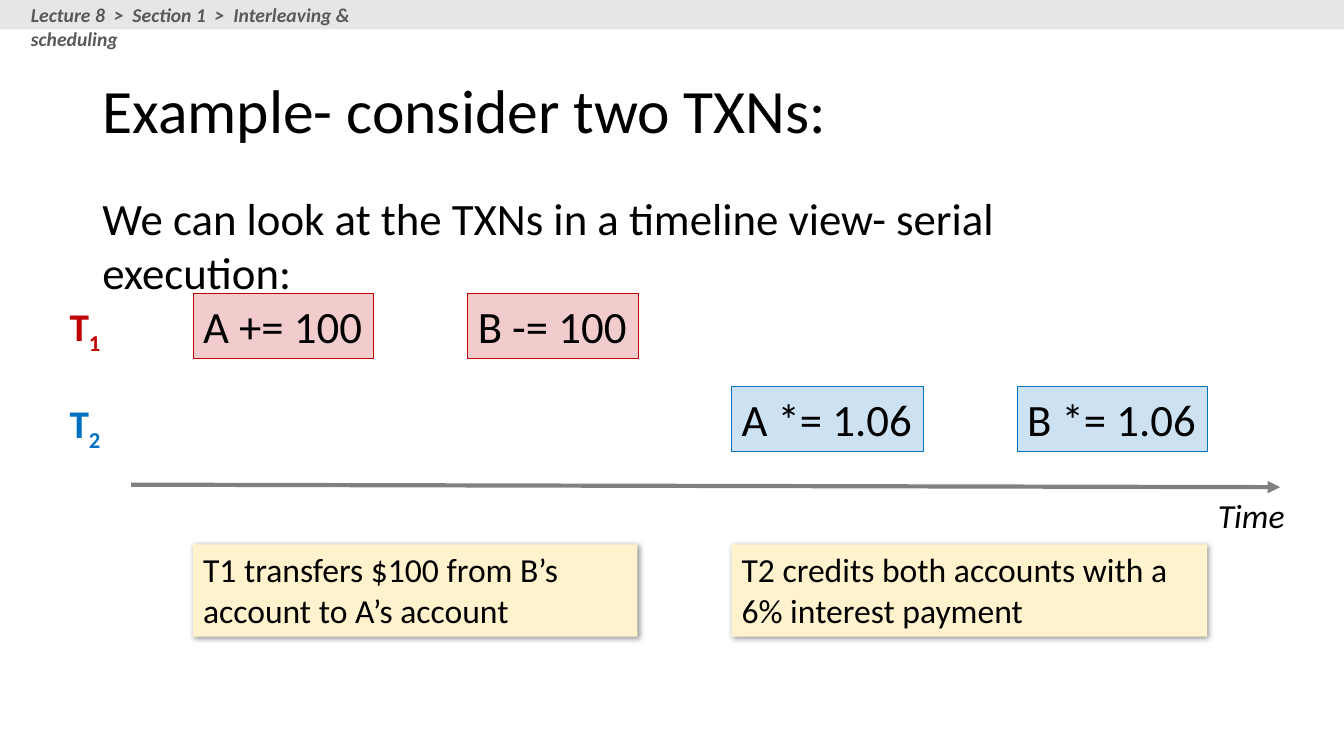
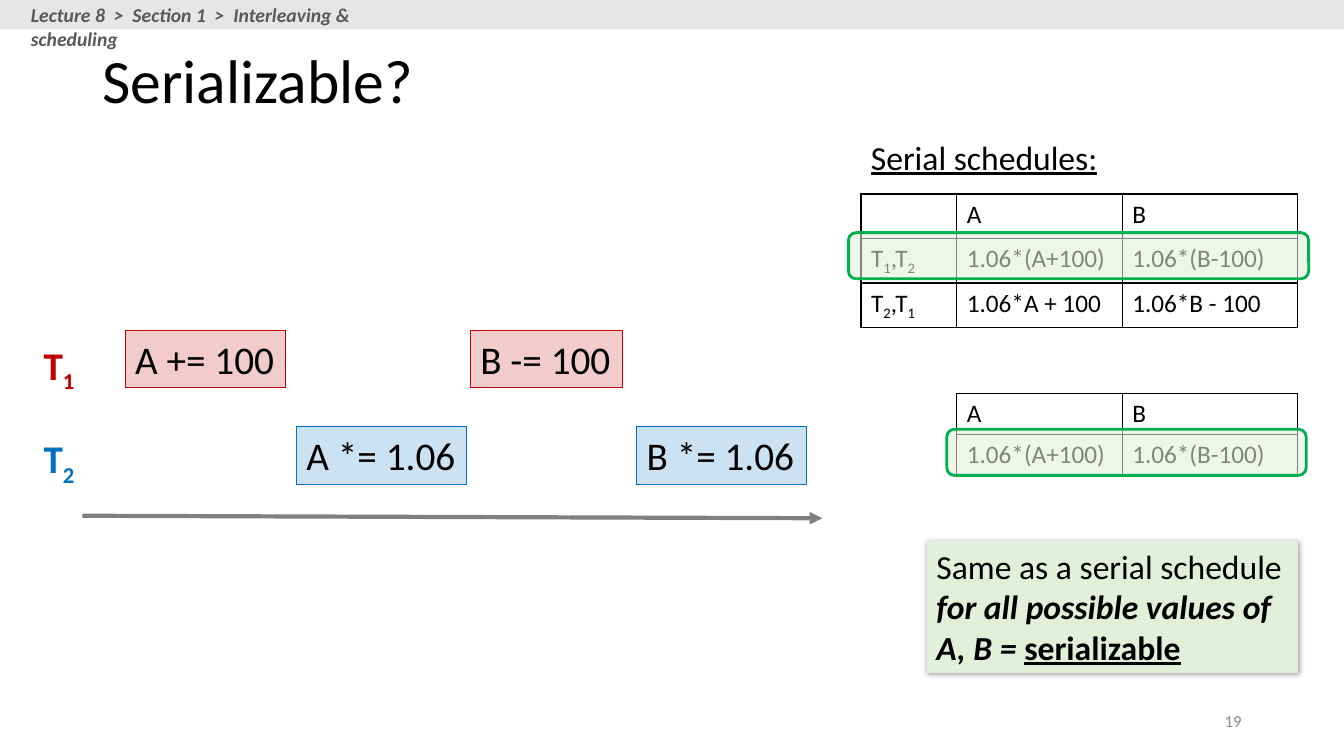
from lxml.etree import SubElement
from pptx import Presentation
from pptx.dml.color import RGBColor
from pptx.enum.shapes import MSO_CONNECTOR as Connector, MSO_SHAPE as Preset
from pptx.enum.text import MSO_ANCHOR as Anchor, PP_ALIGN as Align
from pptx.oxml.ns import qn
from pptx.util import Inches, Pt

COLUMNS, ROWS = 80, 45
WIDTH, HEIGHT = Inches(13.33), Inches(7.5)
BLACK, GREY, BAND, CRUMB = "000000", "808080", "E7E6E6", "595959"
NUMBER, RED, BLUE = "8C8C8C", "C00000", "0070C0"
SAND, MINT, GREEN = "FFF2CC", "E2F0D9", "00B050"
CHIP_WIDTHS = {"A += 100": 9.55, "B -= 100": 8.95, "A *= 1.06": 10.2, "B *= 1.06": 10.15}


def rgb(code):
    return RGBColor.from_string(code)


class Deck:
    font = "Calibri"

    def __init__(self):
        self.file = Presentation()
        self.file.slide_width, self.file.slide_height = WIDTH, HEIGHT

    def x(self, columns):
        return round(WIDTH * columns / COLUMNS)

    def y(self, rows):
        return round(HEIGHT * rows / ROWS)

    def frame(self, left, top, width, height):
        return self.x(left), self.y(top), self.x(width), self.y(height)

    def page(self, title, title_top):
        self.slide = self.file.slides.add_slide(self.file.slide_layouts[6])
        heading = self.text((5.5, title_top, 69, 8.7), title, size=44, anchor=Anchor.MIDDLE)
        heading.paragraphs[0].line_spacing = 0.9
        self.box((0, 0, COLUMNS, 1.75), BAND)
        self.text((1.25, -0.1, 25.1, 2.05), "Lecture 8  >  Section 1  >  Interleaving & scheduling",
                  size=14, color=CRUMB, bold=True, italic=True)

    def add_run(self, paragraph, text, size, color, lowered=False, **styles):
        run = paragraph.add_run()
        run.text = text
        for name, value in {"name": self.font, "size": Pt(size), **styles}.items():
            setattr(run.font, name, value)
        run.font.color.rgb = rgb(color)
        if lowered:
            run._r.get_or_add_rPr().set("baseline", "-25000")

    def fill_text(self, frame, content, size, color=BLACK, align=Align.LEFT, **styles):
        paragraph = frame.paragraphs[0]
        paragraph.alignment = align
        runs = [(content, {})] if isinstance(content, str) else content
        for text, extra in runs:
            head, *tails = text.split("_")
            look = {"size": size, "color": color, **styles, **extra}
            if head:
                self.add_run(paragraph, head, **look)
            for tail in tails:
                self.add_run(paragraph, tail[0], lowered=True, **look)
                if tail[1:]:
                    self.add_run(paragraph, tail[1:], **look)

    def text(self, place, content, size, wrap=True, anchor=Anchor.TOP, **styles):
        frame = self.slide.shapes.add_textbox(*self.frame(*place)).text_frame
        frame.word_wrap, frame.vertical_anchor = wrap, anchor
        self.fill_text(frame, content, size, **styles)
        return frame

    def box(self, place, fill, opacity=100, line=None, weight=0.75, preset=Preset.RECTANGLE):
        shape = self.slide.shapes.add_shape(preset, *self.frame(*place))
        shape.shadow.inherit = False
        shape.fill.solid()
        shape.fill.fore_color.rgb = rgb(fill)
        if opacity < 100:
            tint = shape._element.spPr.find(qn("a:solidFill")).find(qn("a:srgbClr"))
            SubElement(tint, qn("a:alpha"), val=str(opacity * 1000))
        if line:
            shape.line.color.rgb = rgb(line)
            shape.line.width = Pt(weight)
        else:
            shape.line.fill.background()
        shape.text_frame.vertical_anchor = Anchor.TOP
        return shape

    def chip(self, left, top, operation, size, color):
        scale = size / 32
        place = (left, top, CHIP_WIDTHS[operation] * scale + 1.2, 3.25 * scale + 0.6)
        frame = self.box(place, color, 20, color).text_frame
        frame.word_wrap = False
        self.fill_text(frame, operation, size)

    def callout(self, place, content, fill):
        note = self.box(place, fill)
        effects = note._element.spPr.find(qn("a:effectLst"))
        shadow = SubElement(effects, qn("a:outerShdw"), blurRad=str(Pt(4)), dist=str(Pt(1)),
                            dir="2700000", algn="tl", rotWithShape="0")
        shade = SubElement(shadow, qn("a:srgbClr"), val=BLACK)
        SubElement(shade, qn("a:alpha"), val="40000")
        note.text_frame.word_wrap = True
        self.fill_text(note.text_frame, content, 24)

    def arrow(self, left, right, top, drop=0.15):
        axis = self.slide.shapes.add_connector(
            Connector.STRAIGHT, self.x(left), self.y(top), self.x(right), self.y(top + drop))
        axis.line.color.rgb = rgb(GREY)
        axis.line.width = Pt(3)
        properties = axis._element.spPr
        SubElement(properties.find(qn("a:ln")), qn("a:tailEnd"), type="triangle")
        SubElement(properties, qn("a:effectLst"))

    def timeline(self, axis, label_left, size, lanes):
        self.arrow(*axis)
        for label, color, label_top, chip_top, steps in lanes:
            self.text((label_left, label_top, 3.15, 3.4), label, size=28, wrap=False,
                      color=color, bold=True)
            for left, operation in steps:
                self.chip(left, chip_top, operation, size, color)

    def table(self, left, top, widths, row_height, rows):
        place = self.frame(left, top, sum(widths), row_height * len(rows))
        grid = self.slide.shapes.add_table(len(rows), len(widths), *place).table
        grid.first_row = grid.horz_banding = False
        for column, width in zip(grid.columns, widths):
            column.width = self.x(width)
        for r, row in enumerate(rows):
            grid.rows[r].height = self.y(row_height)
            for c, content in enumerate(row):
                cell = grid.cell(r, c)
                if content:
                    self.fill_text(cell.text_frame, content, 18)
                self.outline(cell)

    def outline(self, cell):
        properties = cell._tc.get_or_add_tcPr()
        for side in ("a:lnL", "a:lnR", "a:lnT", "a:lnB"):
            edge = SubElement(properties, qn(side), w=str(Pt(1)))
            SubElement(SubElement(edge, qn("a:solidFill")), qn("a:srgbClr"), val=BLACK)
        cell.fill.background()

    def highlight(self, place):
        self.box(place, MINT, 56, GREEN, 2, Preset.ROUNDED_RECTANGLE)


def serial_execution(deck):
    deck.page("Example- consider two TXNs:", 2.4)
    deck.callout((11.5, 32.4, 26.45, 5.5), "T1 transfers $100 from B’s account to A’s account", SAND)
    deck.callout((43.55, 32.4, 28.3, 5.5), "T2 credits both accounts with a 6% interest payment", SAND)
    deck.timeline((7.8, 76.2, 28.85), 3.55, 32, [
        ("T_1", RED, 17.7, 17.5, [(11.5, "A += 100"), (27.85, "B -= 100")]),
        ("T_2", BLUE, 23.5, 23, [(43.55, "A *= 1.06"), (60.55, "B *= 1.06")]),
    ])
    deck.text((71.9, 29.15, 5.2, 3), "Time", size=24, wrap=False, italic=True)
    deck.text((5.5, 11.05, 66, 3.85),
              "We can look at the TXNs in a timeline view- serial execution:", size=32)


def serializable(deck):
    deck.page("Serializable?", 0.65)
    deck.text((56.5, 41.7, 18, 2.4), "19", size=12, color=NUMBER,
              align=Align.RIGHT, anchor=Anchor.MIDDLE)
    deck.timeline((4.9, 48.95, 30.7), 2, 28, [
        ("T_1", RED, 20, 19.65, [(7.45, "A += 100"), (28, "B -= 100")]),
        ("T_2", BLUE, 25.55, 25.4, [(17.65, "A *= 1.06"), (37.9, "B *= 1.06")]),
    ])
    deck.callout((55.15, 32.2, 22.1, 7.85), [
        ("Same as a serial schedule ", {}),
        ("for all possible values of A, B = ", {"bold": True, "italic": True}),
        ("serializable", {"bold": True, "underline": True}),
    ], MINT)
    deck.text((51.25, 7.85, 14.8, 3), "Serial schedules:", size=24, wrap=False, underline=True)
    header, outcome = ["A", "B"], ["1.06*(A+100)", "1.06*(B-100)"]
    key_width, value_widths = 5.7, [9.85, 10.45]
    deck.table(51.25, 11.55, [key_width, *value_widths], 2.65, [
        ["", *header],
        ["T_1,T_2", *outcome],
        ["T_2,T_1", "1.06*A + 100", "1.06*B - 100"],
    ])
    deck.table(51.25 + key_width, 23.4, value_widths, 2.45, [header, outcome])
    deck.highlight((50.5, 13.85, 27.4, 2.75))
    deck.highlight((56.35, 25.55, 21.4, 2.75))


def main():
    deck = Deck()
    serial_execution(deck)
    serializable(deck)
    deck.file.save("out.pptx")


if __name__ == "__main__":
    main()
